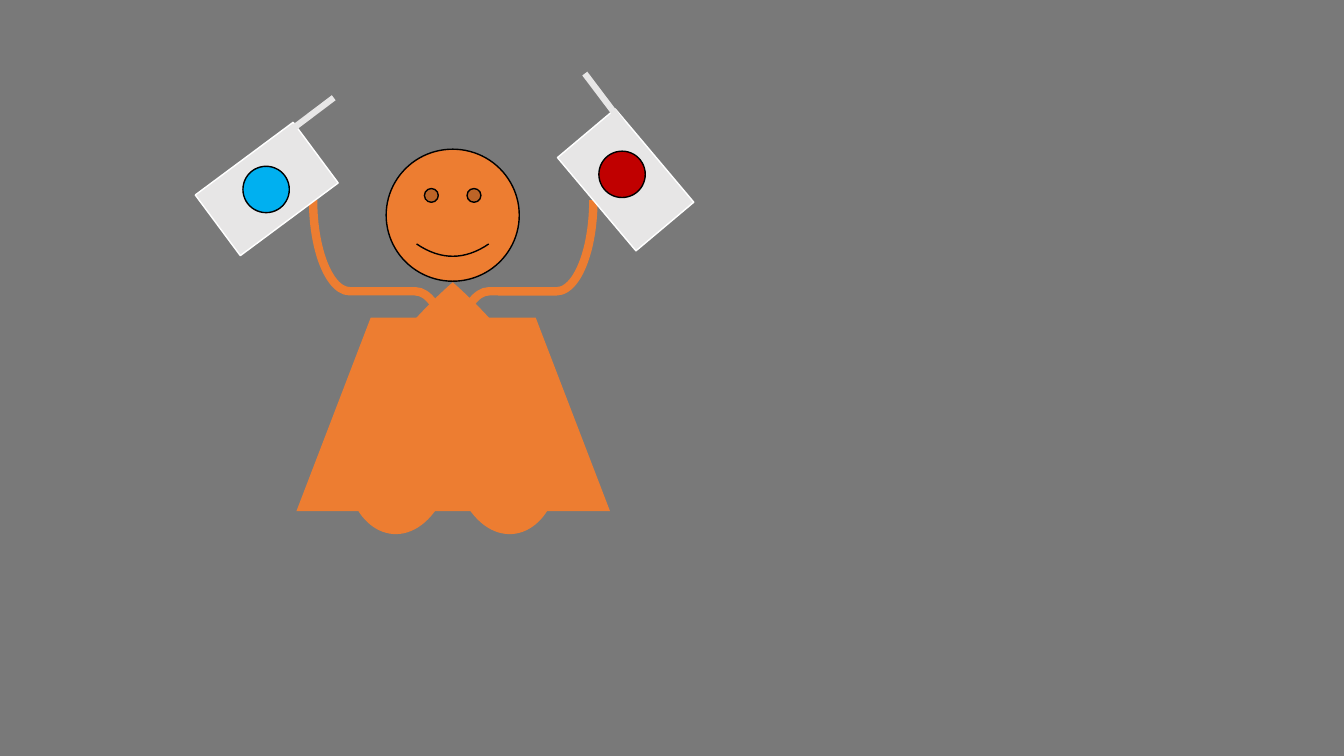
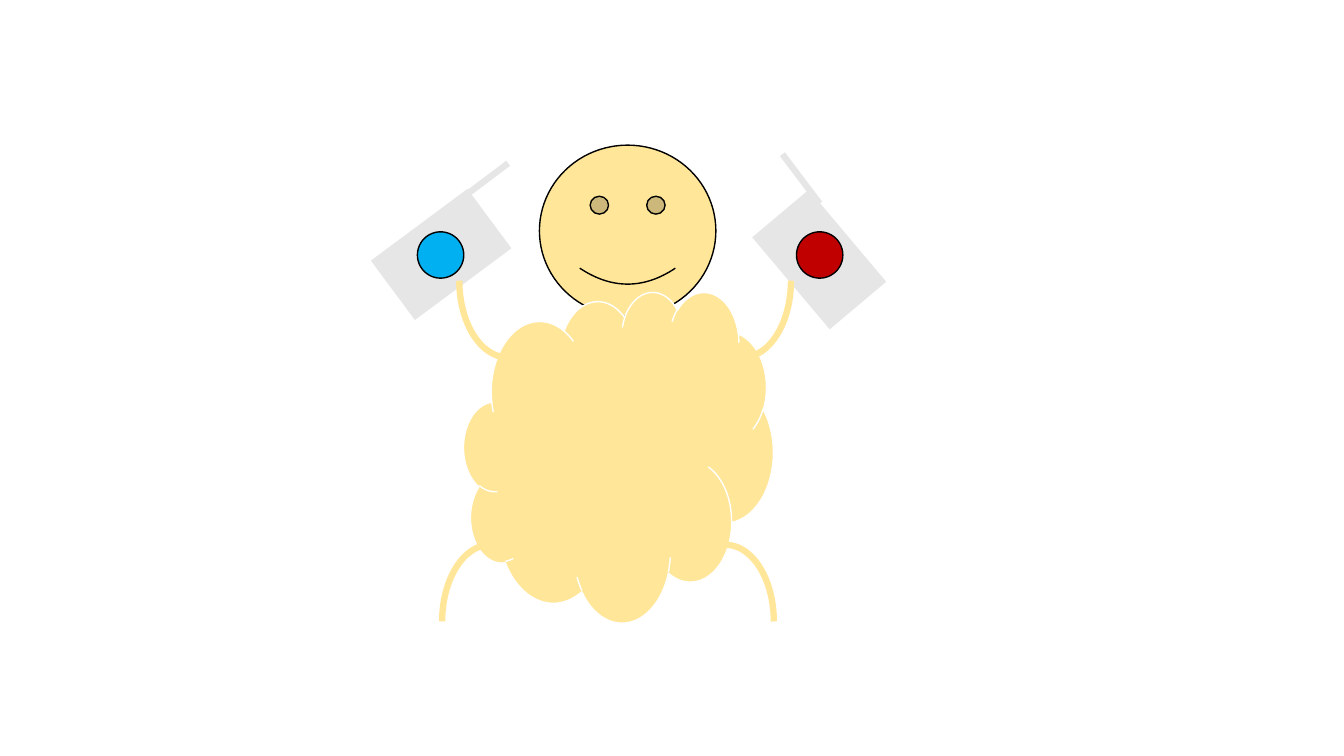
from lxml.etree import SubElement
from pptx import Presentation
from pptx.dml.color import RGBColor
from pptx.enum.shapes import MSO_CONNECTOR, MSO_SHAPE
from pptx.oxml.ns import qn
from pptx.util import Inches, Pt

HUES = {
    "grey": "797979", "white": "FFFFFF", "black": "000000",
    "orange": "ED7D31", "cream": "FFE699", "cloth": "E7E6E6",
    "red": "C00000", "blue": "00B0F0",
}

# Per flag: cloth angle, then pole ends measured from the disc centre
FLAGS = {
    "red": (49.9, (0, -0.51), (-0.37, -1)),
    "blue": (143.4, (0.02, -0.42), (0.67, -0.91)),
}
DISC = 0.46


def color(name):
    return RGBColor.from_string(HUES[name])


class Deck:
    def __init__(self):
        self.prs = Presentation()
        self.prs.slide_width = Inches(13.33)
        self.prs.slide_height = Inches(7.5)
        self.slide = None

    def page(self, back):
        self.slide = self.prs.slides.add_slide(self.prs.slide_layouts[6])
        fill = self.slide.background.fill
        fill.solid()
        fill.fore_color.rgb = color(back)

    def shape(self, kind, box, fill=None, line=None, width=1, turn=0, adj=()):
        item = self.slide.shapes.add_shape(kind, *map(Inches, box))
        item.shadow.inherit = False
        item.rotation = turn
        for i, value in enumerate(adj):
            item.adjustments[i] = value
        if fill:
            item.fill.solid()
            item.fill.fore_color.rgb = color(fill)
        else:
            item.fill.background()
        if line:
            item.line.color.rgb = color(line)
            item.line.width = Pt(width)
        else:
            item.line.fill.background()

    def pole(self, start, end):
        item = self.slide.shapes.add_connector(
            MSO_CONNECTOR.STRAIGHT, *map(Inches, (*start, *end)))
        item.line.color.rgb = color("cloth")
        item.line.width = Pt(4.5)
        SubElement(item._element.spPr, qn("a:effectLst"))

    def face(self, box, fill):
        self.shape(MSO_SHAPE.SMILEY_FACE, box, fill, "black")

    def limbs(self, box, hue, width, turn, adj):
        self.shape(MSO_SHAPE.RIGHT_BRACE, box, None, hue, width, turn, adj)

    def flag(self, hue, cloth, disc):
        turn, start, end = FLAGS[hue]
        self.shape(MSO_SHAPE.RECTANGLE, (*cloth, 1.21, 0.75),
                   "cloth", "white", turn=turn)
        self.shape(MSO_SHAPE.OVAL, (*disc, DISC, DISC), hue, "black")
        mid = [side + DISC / 2 for side in disc]
        self.pole(*([m + d for m, d in zip(mid, step)]
                    for step in (start, end)))


deck = Deck()

# Slide 1: figure in a dress
deck.page("grey")
deck.face((3.83, 1.48, 1.32, 1.31), "orange")
deck.shape(MSO_SHAPE.HEART, (3.44, 2.8, 2.1, 2.53), "orange", turn=180)
deck.shape(MSO_SHAPE.TRAPEZOID, (2.94, 3.15, 3.11, 1.92), "orange",
           adj=[0.384])
deck.limbs((3.59, 1.5, 1.81, 2.78), "orange", 6, 90, (0.202, 0.504))
deck.flag("red", (5.6, 1.41), (5.94, 1.5))
deck.flag("blue", (2.04, 1.5), (2.41, 1.65))

# Slide 2: figure with a cloud body
deck.page("white")
deck.face((5.35, 1.44, 1.75, 1.7), "cream")
deck.flag("red", (7.52, 2.2), (7.9, 2.3))
deck.flag("blue", (3.77, 2.15), (4.14, 2.3))
deck.shape(MSO_SHAPE.CLOUD, (4.6, 2.89, 3.07, 3.28), "cream", "white")
for left, top, turn in ((5.44, 1.9, 90), (5.27, 3.76, 270)):
    deck.limbs((left, top, 1.52, 3.29), "cream", 4.5, turn, (0.314, 0.5))

deck.prs.save("out.pptx")
